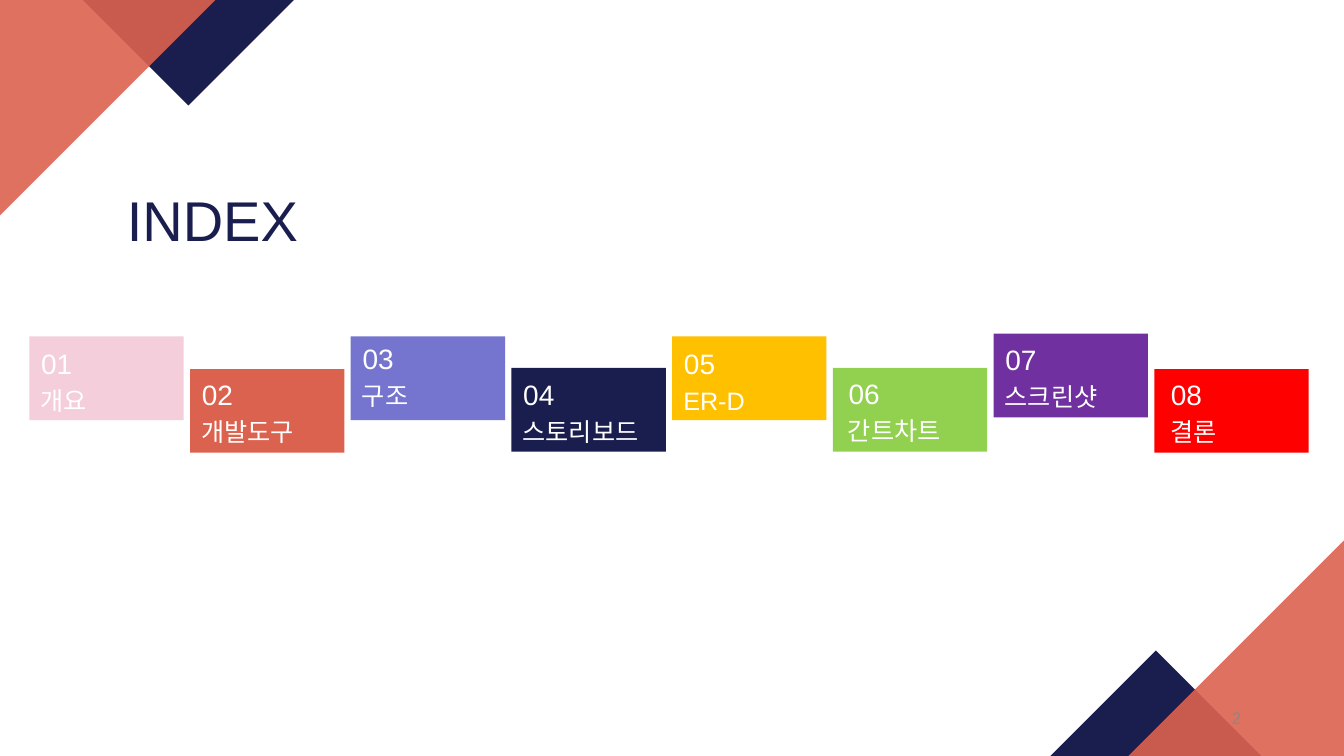
import pptx
import pptx.dml.color
import pptx.enum.shapes
import pptx.enum.text
import pptx.oxml.ns
import pptx.util
from lxml import etree

Cm = pptx.util.Cm
Align = pptx.enum.text.PP_ALIGN
Preset = pptx.enum.shapes.MSO_SHAPE

COLORS = {
    "navy": "1A1E4E", "coral": "DB624F", "pink": "F4CEDB", "lilac": "7575CF",
    "amber": "FFC000", "green": "92D050", "purple": "7030A0", "red": "FF0000",
    "white": "FFFFFF", "gray": "898989",
}

# label, fill, card top, number top, text indent (cm)
CARDS = [
    ("개요", "pink", 8.48, 8.61, 0.03),
    ("개발도구", "coral", 9.3, 9.4, 0.03),
    ("구조", "lilac", 8.48, 8.48, 0.03),
    ("스토리보드", "navy", 9.27, 9.4, 0.03),
    ("ER-D", "amber", 8.48, 8.61, 0.03),
    ("간트차트", "green", 9.27, 9.37, 0.13),
    ("스크린샷", "purple", 8.41, 8.51, 0.03),
    ("결론", "red", 9.3, 9.4, 0.15),
]
CARD_LEFT, CARD_PITCH = 0.74, 4.05
CARD_WIDTH, CARD_HEIGHT = 3.89, 2.11
LABEL_DROP = 0.97


def rgb(name):
    return pptx.dml.color.RGBColor.from_string(COLORS[name])


def write(box, text, size, color="white", align=Align.LEFT, side=0.25, font="Arial"):
    """Fill a shape with one formatted paragraph; side is the left and right inset."""
    frame = box.text_frame
    frame.word_wrap = True
    frame.auto_size = pptx.enum.text.MSO_AUTO_SIZE.NONE
    frame.vertical_anchor = pptx.enum.text.MSO_ANCHOR.TOP
    frame.margin_left = frame.margin_right = Cm(side)
    para = frame.paragraphs[0]
    para.alignment = align
    span = para.add_run()
    span.text = text
    span.font.size = pptx.util.Pt(size)
    span.font.color.rgb = rgb(color)
    span.font.name = font
    east_asian = etree.SubElement(span.font._element, pptx.oxml.ns.qn("a:ea"))
    east_asian.set("typeface", font)


class IndexPage:
    def __init__(self, deck):
        self.page = deck.slides.add_slide(deck.slide_layouts[5])

    def title(self, text, left, top, width, height):
        box = self.page.shapes.title
        box.left, box.top, box.width, box.height = map(Cm, (left, top, width, height))
        write(box, text, 40, "navy")

    def shape(self, preset, color, left, top, width, height, rotation=0, opacity=100):
        shape = self.page.shapes.add_shape(preset, *map(Cm, (left, top, width, height)))
        shape.rotation = rotation
        shape.shadow.inherit = False
        shape.line.fill.background()
        shape.fill.solid()
        shape.fill.fore_color.rgb = rgb(color)
        if opacity < 100:
            fill = shape._element.spPr.find(".//" + pptx.oxml.ns.qn("a:srgbClr"))
            alpha = etree.SubElement(fill, pptx.oxml.ns.qn("a:alpha"))
            alpha.set("val", str(opacity * 1000))

    def text(self, text, left, top, width, height, size, **style):
        box = self.page.shapes.add_textbox(*map(Cm, (left, top, width, height)))
        write(box, text, size, **style)

    def card(self, index, label, color, top, number_top, indent):
        left = CARD_LEFT + index * CARD_PITCH
        self.shape(Preset.RECTANGLE, color, left, top, CARD_WIDTH, CARD_HEIGHT)
        self.text(f"{index + 1:02}", left + indent, number_top, 1.32, 1.12, 20,
                  align=Align.CENTER, side=0)
        self.text(label, left + indent, number_top + LABEL_DROP, 3.84, 1.02, 18)

    def corner(self, navy_at, coral_at, turn):
        """Draw a navy triangle with a translucent coral one over it."""
        triangle = Preset.RIGHT_TRIANGLE
        self.shape(triangle, "navy", *navy_at, 3.76, 3.76, rotation=(turn + 315) % 360)
        self.shape(triangle, "coral", *coral_at, 5.43, 5.43, rotation=turn + 90, opacity=90)


def main():
    deck = pptx.Presentation()
    deck.slide_width, deck.slide_height = Cm(33.87), Cm(19.05)
    index_page = IndexPage(deck)
    index_page.title("INDEX", 2.95, 4.55, 4.98, 1.96)
    index_page.corner((2.87, -1.88), (0, 0), turn=0)
    index_page.corner((27.25, 17.17), (28.44, 13.62), turn=180)
    for index, card in enumerate(CARDS):
        index_page.card(index, *card)
    index_page.text("2", 30.2, 17.7, 1.33, 0.9, 12, color="gray", align=Align.RIGHT)
    deck.save("out.pptx")


if __name__ == "__main__":
    main()
